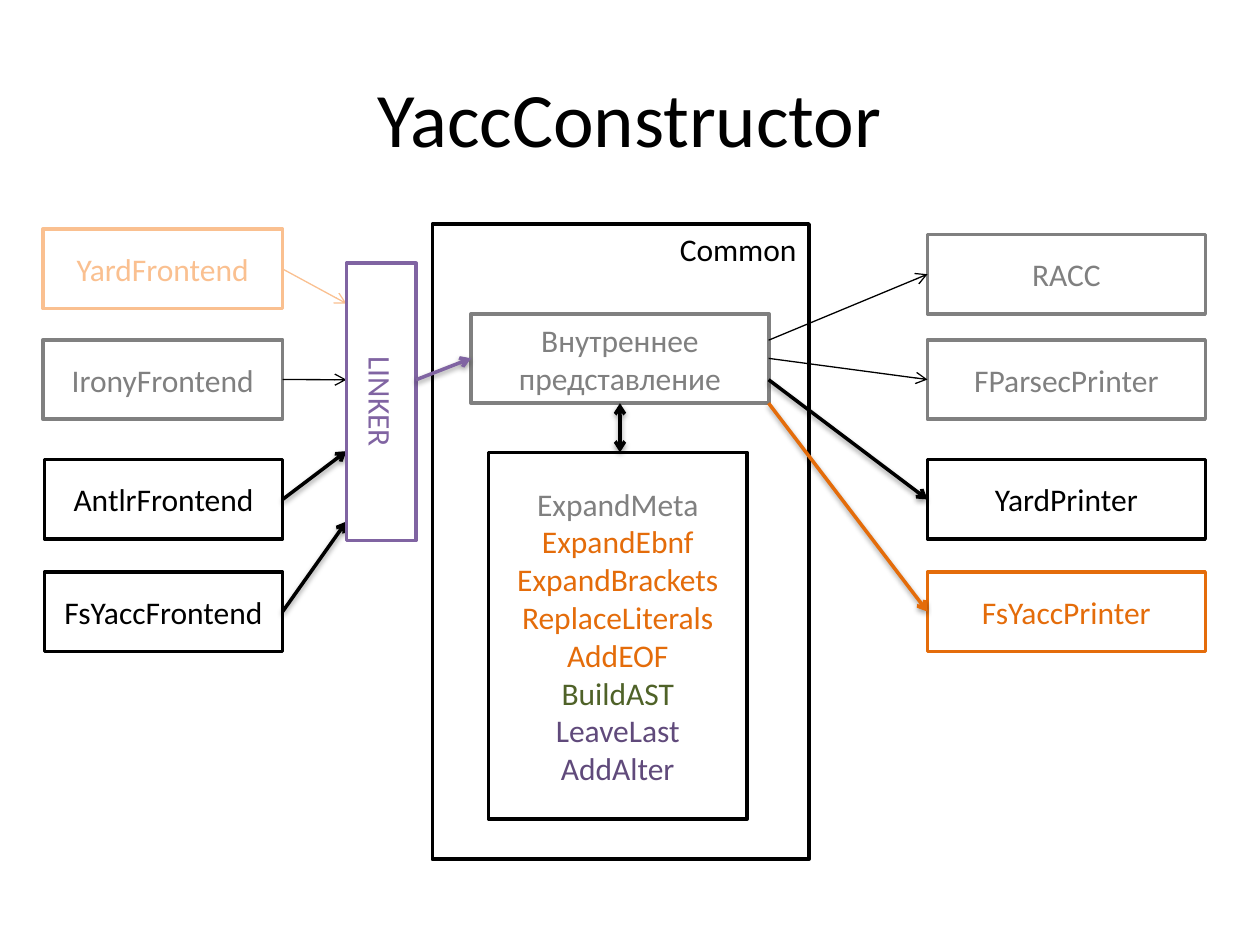
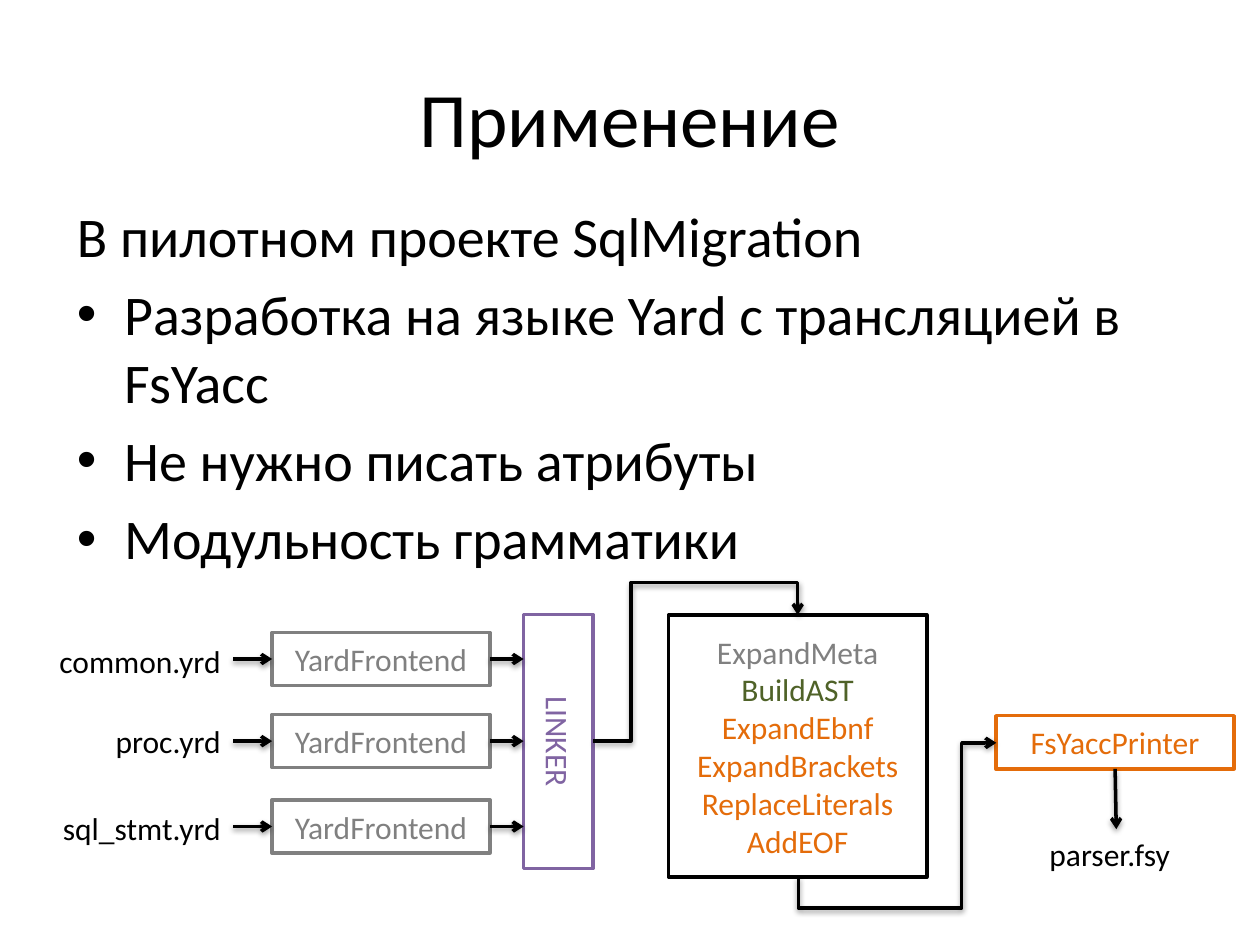
from lxml import etree
from pptx import Presentation
from pptx.dml.color import RGBColor
from pptx.enum.shapes import MSO_CONNECTOR, MSO_SHAPE
from pptx.enum.text import MSO_ANCHOR, PP_ALIGN
from pptx.oxml.ns import qn
from pptx.util import Pt

RECTANGLE = MSO_SHAPE.RECTANGLE
STRAIGHT, ELBOW = MSO_CONNECTOR.STRAIGHT, MSO_CONNECTOR.ELBOW
TOP, MIDDLE = MSO_ANCHOR.TOP, MSO_ANCHOR.MIDDLE
LEFT, CENTER, RIGHT = PP_ALIGN.LEFT, PP_ALIGN.CENTER, PP_ALIGN.RIGHT

WHITE = RGBColor(0xFF, 0xFF, 0xFF)
BLACK = RGBColor(0x00, 0x00, 0x00)
GRAY = RGBColor(0x80, 0x80, 0x80)
PEACH = RGBColor(0xFA, 0xC0, 0x90)
ORANGE = RGBColor(0xE4, 0x6C, 0x0A)
GREEN = RGBColor(0x4F, 0x62, 0x28)
PURPLE = RGBColor(0x80, 0x64, 0xA2)
DARK_PURPLE = RGBColor(0x60, 0x4A, 0x7B)

FONT = "Calibri"
THIN, THICK = 0.75, 2
TITLE_AREA = (36, 21.6, 648, 90)


def add_text_block(slide, area, lines, outline=None, size=18,
                   align=CENTER, anchor=MIDDLE, vertical=False):
    """Outlined box, or a plain text box if no outline; lines are (text, colour)."""
    area = [Pt(length) for length in area]
    if outline is None:
        block = slide.shapes.add_textbox(*area)
    else:
        block = slide.shapes.add_shape(RECTANGLE, *area)
        block.shadow.inherit = False
        block.fill.solid()
        block.fill.fore_color.rgb = WHITE
        block.line.color.rgb = outline
        block.line.width = Pt(THICK)
    frame = block.text_frame
    for name, value in {"word_wrap": True, "vertical_anchor": anchor}.items():
        setattr(frame, name, value)
    if vertical:
        frame._txBody.bodyPr.set("vert", "vert")
    for index, (text, color) in enumerate(lines):
        paragraph = frame.add_paragraph() if index else frame.paragraphs[0]
        paragraph.alignment = align
        run = paragraph.add_run()
        run.text = text
        for name, value in {"name": FONT, "size": Pt(size)}.items():
            setattr(run.font, name, value)
        run.font.color.rgb = color
    return block


def add_arrow(slide, start, end, color=BLACK, width=THICK, both_ends=False, kind=STRAIGHT):
    """Arrow with an open head; thick arrows cast a soft shadow."""
    arrow = slide.shapes.add_connector(kind, *[Pt(length) for length in (*start, *end)])
    arrow.line.color.rgb = color
    arrow.line.width = Pt(width)
    line = arrow.line._get_or_add_ln()
    for tag in ("a:headEnd", "a:tailEnd") if both_ends else ("a:tailEnd",):
        etree.SubElement(line, qn(tag), type="arrow")
    effects = etree.SubElement(arrow._element.spPr, qn("a:effectLst"))
    if width == THICK:
        shadow = etree.SubElement(effects, qn("a:outerShdw"), blurRad="40000",
                                  dist="20000", dir="5400000", rotWithShape="0")
        shade = etree.SubElement(shadow, qn("a:srgbClr"), val=str(BLACK))
        etree.SubElement(shade, qn("a:alpha"), val="38000")
    return arrow


deck = Presentation()
deck.slide_width, deck.slide_height = Pt(720), Pt(540)
blank = deck.slide_layouts[6]
architecture, usage = [deck.slides.add_slide(blank) for _ in range(2)]
for slide, title in ((architecture, "YaccConstructor"), (usage, "Применение")):
    add_text_block(slide, TITLE_AREA, [(title, BLACK)], size=44)

# Slide 1: common core with its conversions
add_text_block(architecture, (247, 128, 215.3, 363), [("Common", BLACK)], BLACK,
               align=RIGHT, anchor=TOP)
add_text_block(architecture, (279.2, 258.5, 147.6, 209.7), [
    ("ExpandMeta", GRAY), ("ExpandEbnf", ORANGE), ("ExpandBrackets", ORANGE),
    ("ReplaceLiterals", ORANGE), ("AddEOF", ORANGE), ("BuildAST", GREEN),
    ("LeaveLast", DARK_PURPLE), ("AddAlter", DARK_PURPLE)], BLACK)
add_text_block(architecture, (269.2, 179.3, 170.2, 51.1),
               [("Внутреннее представление", GRAY)], GRAY)

# Frontends: text, top, left, colour, arrow colour, arrow width, arrow end on the linker
HEIGHT = 45.4
frontend_right, linker_left, core_right, printer_left = 161.5, 198, 439.2, 530
for text, top, left, color, arrow_color, width, end in (
        ("YardFrontend", 131, 24.5, PEACH, PEACH, THIN, 173.5),
        ("IronyFrontend", 194.2, 24.5, GRAY, BLACK, THIN, 217),
        ("AntlrFrontend", 262.7, 25.4, BLACK, BLACK, THICK, 257.8),
        ("FsYaccFrontend", 326.8, 25.4, BLACK, BLACK, THICK, 298)):
    add_text_block(architecture, (left, top, frontend_right - left, HEIGHT),
                   [(text, color)], color)
    add_arrow(architecture, (frontend_right, top + HEIGHT / 2), (linker_left, end),
              arrow_color, width)

# Printers: text, top, colour, arrow colour, arrow width, arrow start on the core
for text, top, color, arrow_color, width, start in (
        ("RACC", 134, GRAY, BLACK, THIN, 194.4),
        ("FParsecPrinter", 194.2, GRAY, BLACK, THIN, 204.8),
        ("YardPrinter", 262.7, BLACK, BLACK, THICK, 217),
        ("FsYaccPrinter", 326.8, ORANGE, ORANGE, THICK, 230.4)):
    add_text_block(architecture, (printer_left, top, 158.8, HEIGHT), [(text, color)], color)
    add_arrow(architecture, (core_right, start), (printer_left, top + HEIGHT / 2),
              arrow_color, width)

# Linker and the arrows inside the core
add_text_block(architecture, (linker_left, 150.4, 39.8, 158.5), [("LINKER", PURPLE)],
               PURPLE, vertical=True)
add_arrow(architecture, (237.8, 217), (269.2, 204.8), PURPLE)
add_arrow(architecture, (354.3, 230.4), (354.3, 258.5), both_ends=True)

# Slide 2: heading line and bullets
body = add_text_block(usage, (36.9, 111.6, 648, 221), [(text, BLACK) for text in (
    "В пилотном проекте SqlMigration",
    "Разработка на языке Yard с трансляцией в FsYacc",
    "Не нужно писать атрибуты",
    "Модульность грамматики")], size=32, align=LEFT, anchor=TOP)
for index, paragraph in enumerate(body.text_frame.paragraphs):
    paragraph.space_before = Pt(6.4)
    if index:
        properties = paragraph._p.get_or_add_pPr()
        properties.set("marL", str(Pt(27)))
        properties.set("indent", str(-Pt(27)))
        etree.SubElement(properties, qn("a:buFont"), typeface="Arial")
        etree.SubElement(properties, qn("a:buChar"), char="•")

# Linker, conversions, printer and its result
add_text_block(usage, (299.2, 351.2, 39.8, 145.2), [("LINKER", PURPLE)], PURPLE,
               vertical=True)
add_text_block(usage, (382, 351.4, 147.6, 149.8), [
    ("ExpandMeta", GRAY), ("BuildAST", GREEN), ("ExpandEbnf", ORANGE),
    ("ExpandBrackets", ORANGE), ("ReplaceLiterals", ORANGE), ("AddEOF", ORANGE)], BLACK)
add_text_block(usage, (569, 409, 136.2, 30.4), [("FsYaccPrinter", ORANGE)], ORANGE)
add_text_block(usage, (592.6, 473.8, 90.7, 29), [("parser.fsy", BLACK)],
               align=LEFT, anchor=TOP)
add_arrow(usage, (637.2, 439.4), (637.9, 473.8))

# One row per grammar file: name, label top, row middle
for text, label_top, middle in (("common.yrd", 363.2, 376.6),
                                ("proc.yrd", 409.3, 423.5),
                                ("sql_stmt.yrd", 458.6, 472.3)):
    add_text_block(usage, (15.8, label_top, 117.4, 29), [(text, BLACK)],
                   align=RIGHT, anchor=TOP)
    add_text_block(usage, (155.5, middle - 15.2, 124.5, 30.4), [("YardFrontend", GRAY)], GRAY)
    add_arrow(usage, (133.2, middle), (155.5, middle))
    add_arrow(usage, (280, middle), (299.2, middle))

# Bent arrows: start, end, turn, bend positions
for start, end, turn, bends in (
        ((339.1, 423.4), (455.8, 351.4), 0, (18400, 135000)),
        ((550.9, 519.3), (474.6, 406.1), 90, (-23500, 82500))):
    arrow = add_arrow(usage, start, end, kind=ELBOW)
    if not turn:
        bends = (bends[0], 125600)
    properties = arrow._element.spPr
    properties.find(qn("a:xfrm")).set("rot", str(turn * 60000))
    geometry = properties.find(qn("a:prstGeom"))
    geometry.set("prst", "bentConnector4")
    guides = geometry.find(qn("a:avLst"))
    for number, bend in enumerate(bends, 1):
        etree.SubElement(guides, qn("a:gd"), name=f"adj{number}", fmla=f"val {bend}")

deck.save("out.pptx")
